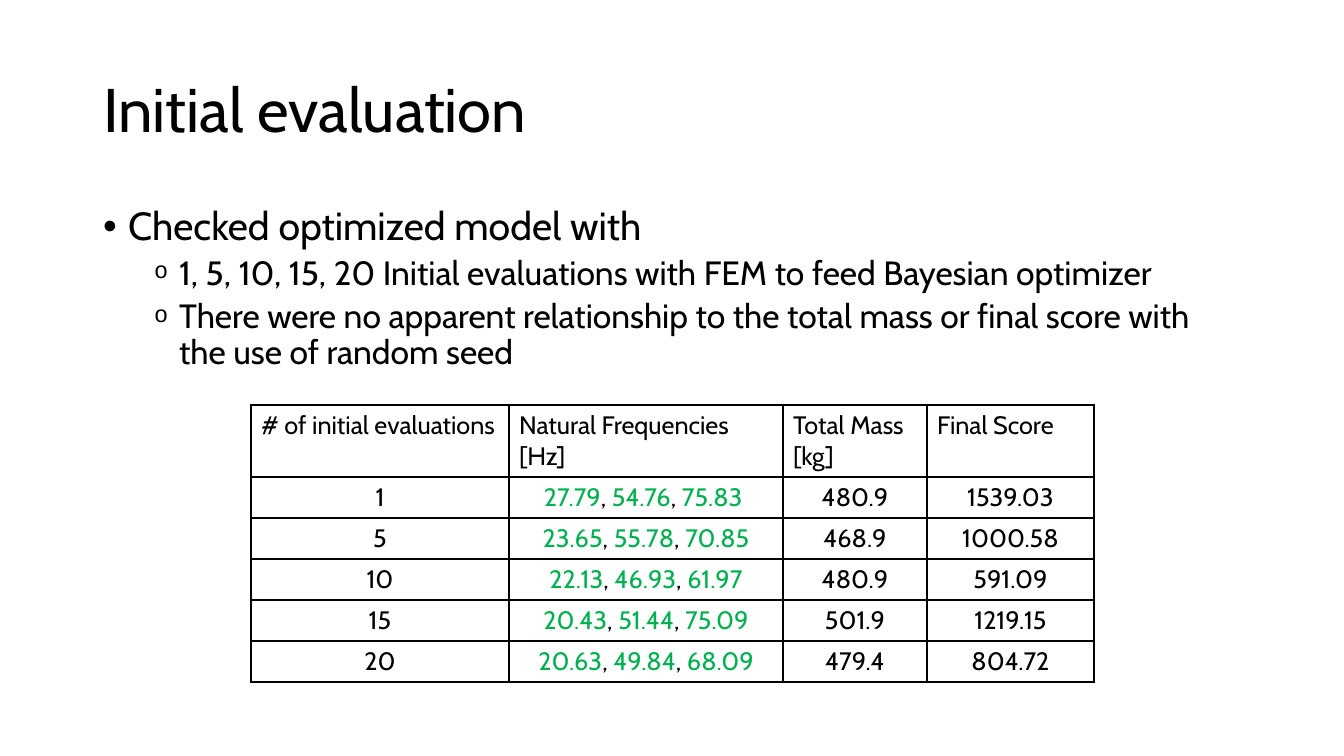
"""Build the slide on initial evaluations with its bullet list and results table."""
from lxml import etree
from pptx import Presentation
from pptx import util as u
from pptx.dml.color import RGBColor
from pptx.enum import text
from pptx.oxml.ns import qn

SCALE = 914400 / 100.8
FONT = "Cabin"
COLORS = {"ink": "000000", "frequency": "00B050"}


def px(length):
    return u.Emu(round(length * SCALE))


def style(font, size, color="ink"):
    font.name = FONT
    font.size = u.Pt(size)
    font.bold = False
    font.color.rgb = RGBColor.from_string(COLORS[color])


prs = Presentation()
prs.slide_width, prs.slide_height = px(1344), px(756)
slide = prs.slides.add_slide(prs.slide_layouts[1])

title, body = slide.placeholders
for holder, top, height in ((title, 40, 146), (body, 202, 480)):
    holder.left, holder.top, holder.width, holder.height = px(93), px(top), px(1159), px(height)
    holder.text_frame.word_wrap = True
    holder.text_frame.auto_size = text.MSO_AUTO_SIZE.NONE

title.text_frame.text = "Initial evaluation"
title.text_frame.vertical_anchor = text.MSO_ANCHOR.MIDDLE
heading = title.text_frame.paragraphs[0]
heading.alignment = text.PP_ALIGN.LEFT
heading.line_spacing = 0.9
style(heading.runs[0].font, 44)

points = [
    (0, "Checked optimized model with"),
    (1, "1, 5, 10, 15, 20 Initial evaluations with FEM to feed Bayesian optimizer"),
    (1, "There were no apparent relationship to the total mass or final score with the use of random seed"),
]
levels = [
    {"indent": 25, "size": 28, "before": 0, "bullet": "•", "bullet_font": "Arial", "percent": 100},
    {"indent": 76, "size": 24, "before": 5, "bullet": "o", "bullet_font": "Courier New", "percent": 70},
]
body.text_frame.text = "\n".join(point for _, point in points)
for paragraph, (level, _) in zip(body.text_frame.paragraphs, points):
    look = levels[level]
    paragraph.level = level
    props = paragraph._p.get_or_add_pPr()
    props.set("marL", str(px(look["indent"])))
    props.set("indent", str(px(-25)))
    etree.SubElement(props, qn("a:buSzPct"), val=str(look["percent"] * 1000))
    etree.SubElement(props, qn("a:buFont"), typeface=look["bullet_font"])
    etree.SubElement(props, qn("a:buChar"), char=look["bullet"])
    paragraph.line_spacing = 0.9
    paragraph.space_before = u.Pt(look["before"])
    style(paragraph.runs[0].font, look["size"])

results = [
    ("# of initial evaluations", "Natural Frequencies [Hz]", "Total Mass [kg]", "Final Score"),
    ("1", "27.79, 54.76, 75.83 ", "480.9", "1539.03"),
    ("5", "23.65, 55.78, 70.85", "468.9", "1000.58"),
    ("10", "22.13, 46.93, 61.97", "480.9", "591.09"),
    ("15", "20.43, 51.44, 75.09", "501.9", "1219.15"),
    ("20", "20.63, 49.84, 68.09", "479.4", "804.72"),
]
widths = [258, 274, 144, 167]
heights = [72] + [41] * 5
table = slide.shapes.add_table(
    len(results), len(widths), px(251), px(405), px(sum(widths)), px(sum(heights))
).table
table.first_row = table.horz_banding = False
for column, width in zip(table.columns, widths):
    column.width = px(width)
for row, height in zip(table.rows, heights):
    row.height = px(height)

for r, values in enumerate(results):
    for c, value in enumerate(values):
        cell = table.cell(r, c)
        paragraph = cell.text_frame.paragraphs[0]
        if r:
            paragraph.alignment = text.PP_ALIGN.CENTER
        pieces = value.replace(",", "|,|").split("|") if c == 1 else [value]
        for piece in pieces:
            run = paragraph.add_run()
            run.text = piece
            style(run.font, 18, "frequency" if r and c == 1 and piece != "," else "ink")
        borders = cell._tc.get_or_add_tcPr()
        for side in ("lnL", "lnR", "lnT", "lnB"):
            line = etree.SubElement(borders, qn(f"a:{side}"), w=str(u.Pt(1)))
            fill = etree.SubElement(line, qn("a:solidFill"))
            etree.SubElement(fill, qn("a:srgbClr"), val=COLORS["ink"])
        cell.fill.background()

prs.save("out.pptx")
